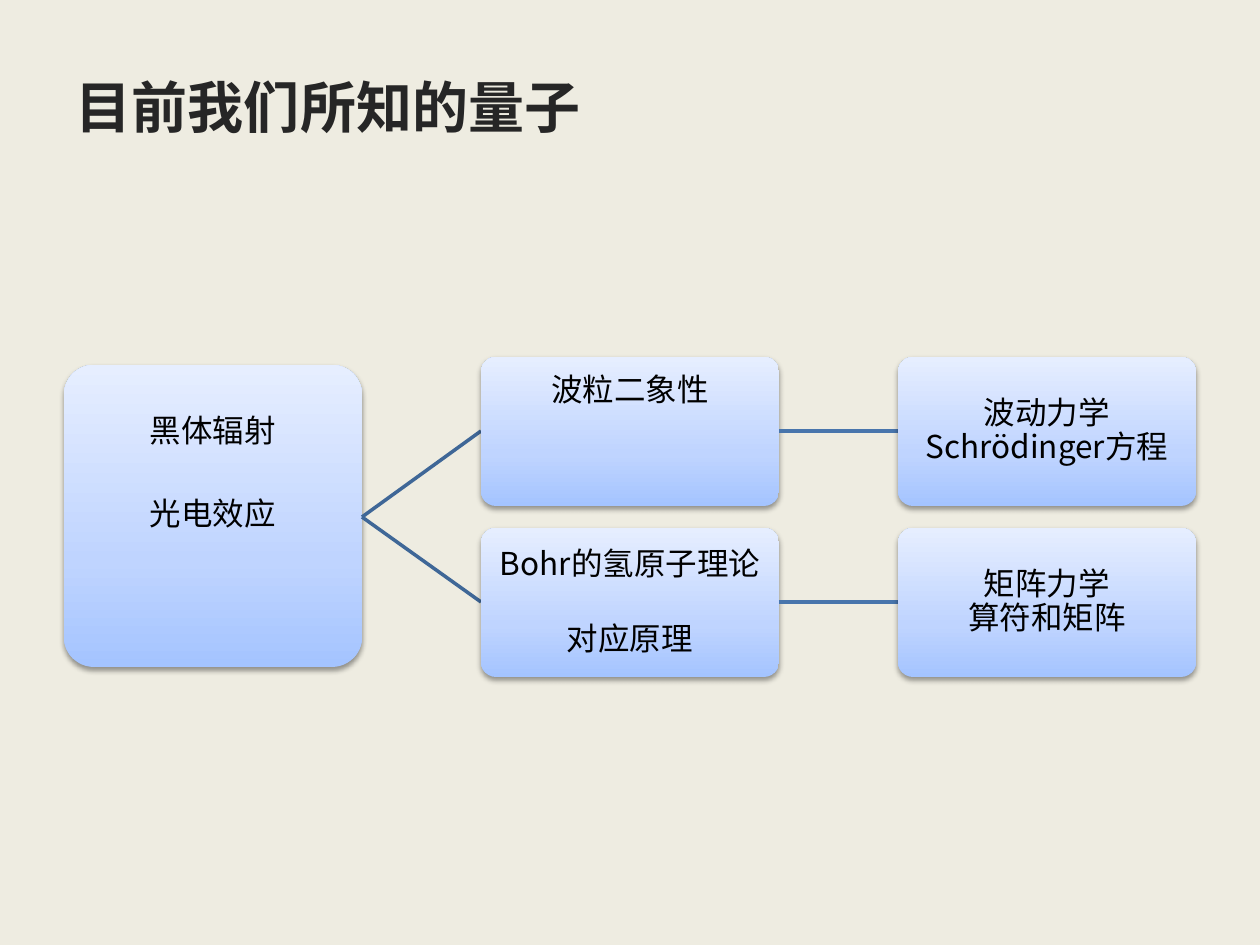
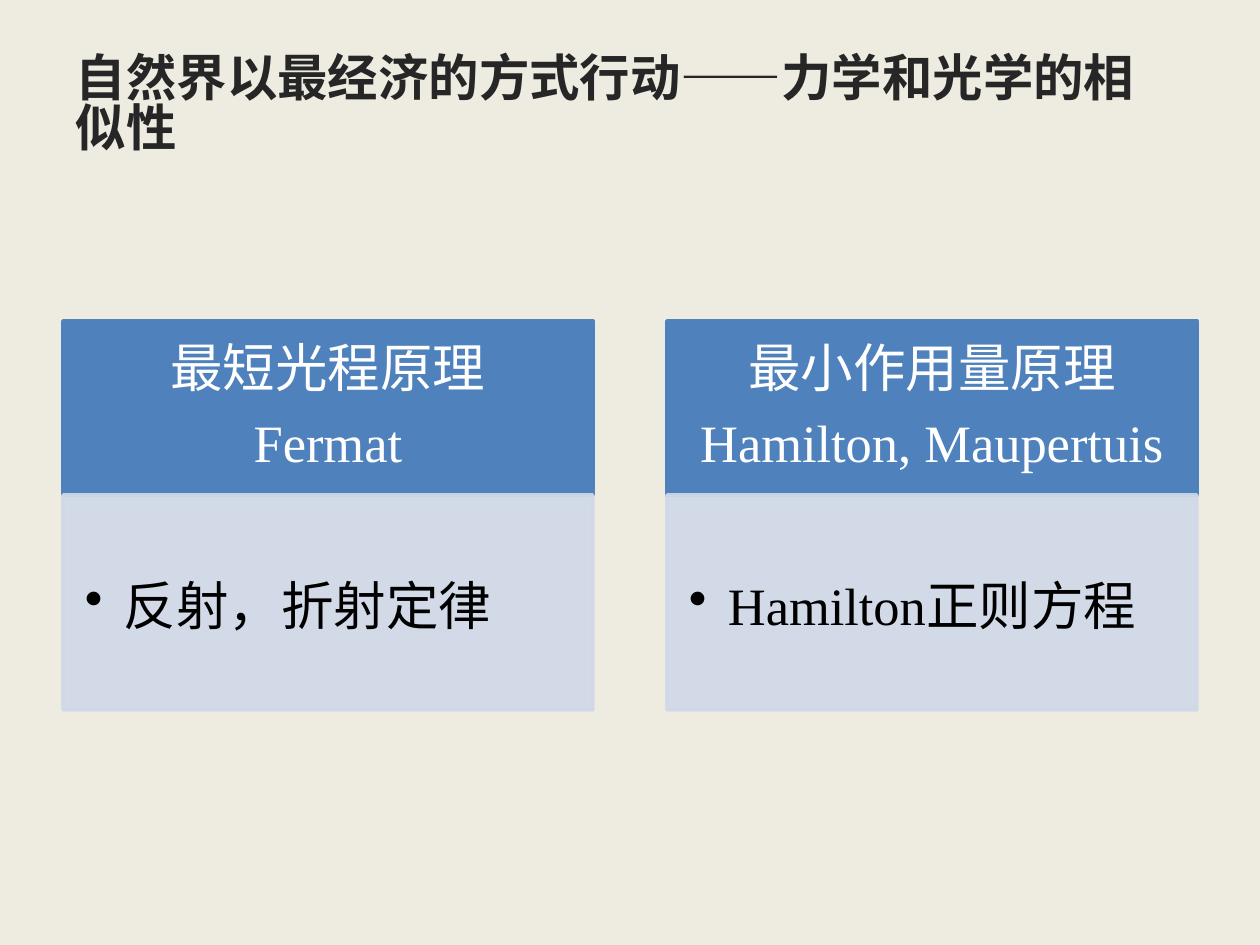
from lxml import etree
from pptx import Presentation, util as u
from pptx.dml.color import RGBColor
from pptx.enum import shapes, text
from pptx.oxml import ns

EMU_PER_PX = 914400 / 126
BACKGROUND, TITLE_COLOR, BLACK, WHITE = "EEECE1", "262626", "000000", "FFFFFF"
CARD_STOPS = ((0, "A4C4FF"), (35, "BFD4FF"), (100, "E6EEFF"))
BRANCH_LINE, LEVEL_LINE = "3F6797", "4875AC"
HEAD_FILL, BODY_FILL = "4F81BD", "D0D8E8"
TITLE_FONT, CARD_FONT, PANEL_FONT = "Arial", "Noto Sans CJK SC", "Times New Roman"


def px(length):
    return u.Emu(round(length * EMU_PER_PX))


def color(value):
    return RGBColor.from_string(value)


def add_xml(parent, tag, **attributes):
    element = etree.SubElement(parent, ns.qn(tag))
    for name, value in attributes.items():
        element.set(name, str(value))
    return element


class Deck:
    def __init__(self):
        self.presentation = Presentation()
        self.presentation.slide_width = px(1260)
        self.presentation.slide_height = px(945)

    def start_slide(self, title, size, spacing=1.0):
        self.slide = self.presentation.slides.add_slide(self.presentation.slide_layouts[6])
        fill = self.slide.background.fill
        fill.solid()
        fill.fore_color.rgb = color(BACKGROUND)
        box = self.slide.shapes.add_textbox(px(63), px(38), px(1134), px(137))
        self.add_lines(box, [title], TITLE_FONT, size, TITLE_COLOR, (13, 6, 13, 6),
                       spacing=spacing, align=text.PP_ALIGN.LEFT, bold=True)

    def add_lines(self, shape, lines, font, size, font_color, insets, spacing=1.0, gap=0,
                  align=text.PP_ALIGN.CENTER, anchor=text.MSO_ANCHOR.MIDDLE,
                  bold=False, bullet_indent=0):
        frame = shape.text_frame
        frame.word_wrap = True
        frame.vertical_anchor = anchor
        (frame.margin_left, frame.margin_top,
         frame.margin_right, frame.margin_bottom) = map(px, insets)
        for index, line in enumerate(lines):
            paragraph = frame.add_paragraph() if index else frame.paragraphs[0]
            paragraph.alignment = align
            paragraph.line_spacing = spacing
            if index:
                paragraph.space_before = u.Pt(gap)
            if bullet_indent:
                properties = paragraph._p.get_or_add_pPr()
                properties.set("marL", str(px(bullet_indent)))
                properties.set("indent", str(-px(bullet_indent)))
                add_xml(properties, "a:buChar", char="•")
            run = paragraph.add_run()
            run.text = line
            run.font.name = font
            run.font.size = u.Pt(size)
            run.font.bold = bold
            run.font.color.rgb = color(font_color)

    def card(self, left, top, width, height, lines, spacing=0.9, gap=0, room_below=1):
        card = self.slide.shapes.add_shape(
            shapes.MSO_SHAPE.ROUNDED_RECTANGLE, px(left), px(top), px(width), px(height))
        card.adjustments[0] = 0.1
        card.line.fill.background()
        card.fill.gradient()
        card.fill.gradient_angle = 90
        properties = card._element.spPr
        stops = properties.find(".//" + ns.qn("a:gsLst"))
        for stop in list(stops):
            stops.remove(stop)
        for position, value in CARD_STOPS:
            stop = add_xml(stops, "a:gs", pos=position * 1000)
            add_xml(stop, "a:srgbClr", val=value)
        effects = add_xml(properties, "a:effectLst")
        shadow = add_xml(effects, "a:outerShdw", blurRad=u.Pt(3.1), dist=u.Pt(1.6),
                         dir=5400000, rotWithShape=0)
        add_xml(add_xml(shadow, "a:srgbClr", val=BLACK), "a:alpha", val=38000)
        self.add_lines(card, lines, CARD_FONT, 18, BLACK, (1, 1, 1, room_below),
                       spacing=spacing, gap=gap)

    def link(self, start, end, line_color):
        link = self.slide.shapes.add_connector(
            shapes.MSO_CONNECTOR.STRAIGHT, *map(px, (*start, *end)))
        link.line.color.rgb = color(line_color)
        link.line.width = u.Pt(2)
        add_xml(link._element.spPr, "a:effectLst")

    def block(self, left, top, width, height, fill_color, opacity=100):
        block = self.slide.shapes.add_shape(
            shapes.MSO_SHAPE.RECTANGLE, px(left), px(top), px(width), px(height))
        block.shadow.inherit = False
        block.fill.solid()
        block.fill.fore_color.rgb = color(fill_color)
        block.line.color.rgb = color(fill_color)
        block.line.width = u.Pt(2)
        if opacity < 100:
            for value in block._element.spPr.iter(ns.qn("a:srgbClr")):
                add_xml(value, "a:alpha", val=opacity * 1000)
        return block

    def panel(self, left, heading, point):
        head = self.block(left, 321, 530, 174, HEAD_FILL)
        self.add_lines(head, heading, PANEL_FONT, 30, WHITE, (29, 16, 29, 16),
                       spacing=0.9, gap=10.5)
        body = self.block(left, 495, 530, 215, BODY_FILL, opacity=90)
        self.add_lines(body, [point], PANEL_FONT, 30, BLACK, (22, 85, 29, 33), spacing=0.9,
                       align=text.PP_ALIGN.LEFT, anchor=text.MSO_ANCHOR.TOP, bullet_indent=39)


def build_quantum_map(deck):
    deck.start_slide("目前我们所知的量子", 32)
    width, height = 298, 149
    root_left, theory_left, mechanics_left = (64 + 417 * column for column in range(3))
    root_exit = (root_left + width, 517)
    deck.card(root_left, 365, width, 302, ["黑体辐射", "光电效应"],
              spacing=1.0, gap=25.5, room_below=90)
    branches = (
        (357, ["波粒二象性"], 0, 82, ["波动力学", "Schrödinger方程"]),
        (528, ["Bohr的氢原子理论", "对应原理"], 23.5, 1, ["矩阵力学", "算符和矩阵"]),
    )
    for top, theory, gap, room_below, mechanics in branches:
        middle = top + height // 2
        deck.link(root_exit, (theory_left, middle), BRANCH_LINE)
        deck.card(theory_left, top, width, height, theory, gap=gap, room_below=room_below)
        deck.link((theory_left + width, middle), (mechanics_left, middle), LEVEL_LINE)
        deck.card(mechanics_left, top, width, height, mechanics)


def build_principles(deck):
    deck.start_slide("自然界以最经济的方式行动——力学和光学的相似性", 28.8, spacing=0.82)
    deck.panel(63, ["最短光程原理", "Fermat"], "反射，折射定律")
    deck.panel(667, ["最小作用量原理", "Hamilton, Maupertuis"], "Hamilton正则方程")


def main():
    deck = Deck()
    build_quantum_map(deck)
    build_principles(deck)
    deck.presentation.save("out.pptx")


if __name__ == "__main__":
    main()
